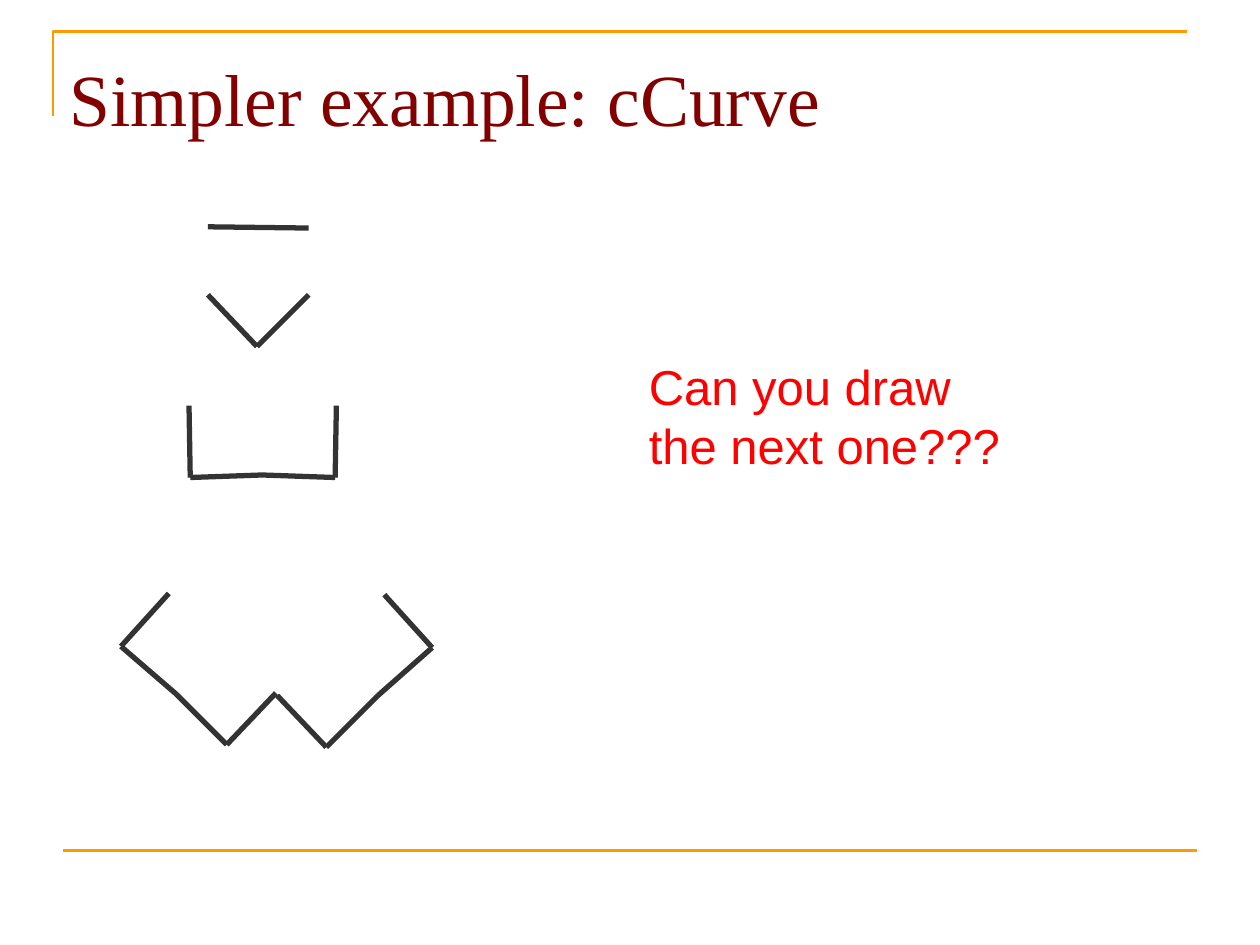
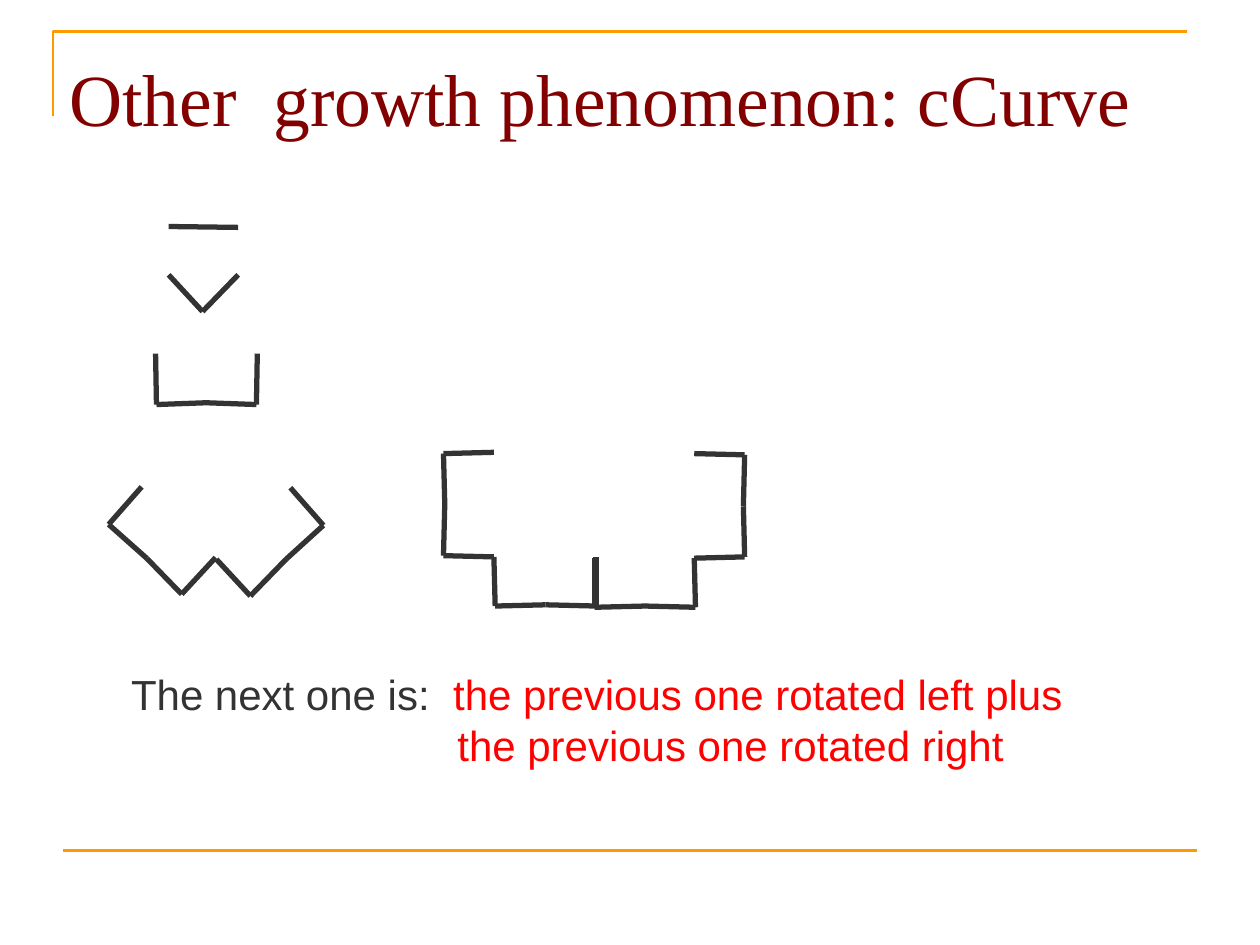
from itertools import pairwise

from lxml import etree
from pptx import Presentation
from pptx.dml.color import RGBColor
from pptx.enum.shapes import MSO_CONNECTOR
from pptx.enum.text import MSO_ANCHOR
from pptx.oxml.ns import qn
from pptx.util import Inches, Pt

STRAIGHT = MSO_CONNECTOR.STRAIGHT
TOP = MSO_ANCHOR.TOP

ORANGE = RGBColor(0xFF, 0x99, 0x00)
MAROON = RGBColor(0x82, 0x00, 0x00)
DARK = RGBColor(0x33, 0x33, 0x33)
RED = RGBColor(0xFF, 0x00, 0x00)

# First four generations of the curve, as polylines in inches
GENERATIONS = [
    [(1.65, 1.8), (2.45, 1.81)],
    [(1.65, 2.34), (2.04, 2.75), (2.45, 2.34)],
    [(1.5, 3.22), (1.51, 3.79), (2.08, 3.77), (2.66, 3.79), (2.67, 3.22)],
    [(1.34, 4.71), (0.96, 5.13), (1.4, 5.51), (1.8, 5.91), (2.19, 5.5)],
    [(3.05, 4.72), (3.43, 5.14), (3, 5.52), (2.59, 5.93), (2.2, 5.52)],
]

# Fifth generation: left and right halves
FIFTH = [
    [(3.92, 3.59), (3.52, 3.6), (3.53, 4), (3.52, 4.41), (3.92, 4.42),
     (3.93, 4.81), (4.33, 4.8), (4.73, 4.81), (4.73, 4.42)],
    [(5.51, 3.6), (5.91, 3.61), (5.9, 4.02), (5.91, 4.42), (5.51, 4.43),
     (5.52, 4.82), (5.12, 4.81), (4.72, 4.82), (4.72, 4.43)],
]


class Deck:
    """Holds the shared style and the current slide."""

    def __init__(self):
        self.prs = Presentation()
        self.prs.slide_width = Inches(10)
        self.prs.slide_height = Inches(7.5)
        self.s = None

    def slide(self, title):
        self.s = self.prs.slides.add_slide(self.prs.slide_layouts[6])
        self.corner()
        self.line((0.5, 6.75), (9.5, 6.75), ORANGE, 1.5)
        self.text(0.5, 0.3, 9, 1.03, [[(title, MAROON)]], 42,
                  "Times New Roman", top=0.12)

    def corner(self):
        builder = self.s.shapes.build_freeform(Inches(0.42), Inches(0.92))
        builder.add_line_segments(
            [(Inches(0.42), Inches(0.25)), (Inches(9.42), Inches(0.25))],
            close=False)
        sp = builder.convert_to_shape()
        sp.shadow.inherit = False
        sp.fill.background()
        sp.line.color.rgb = ORANGE
        sp.line.width = Pt(1.5)

    def line(self, start, end, color=DARK, width=3):
        c = self.s.shapes.add_connector(
            STRAIGHT, *(Inches(v) for v in (*start, *end)))
        c.line.color.rgb = color
        c.line.width = Pt(width)
        etree.SubElement(c._element.spPr, qn("a:effectLst"))

    def curve(self, polylines, scale_x=1, scale_y=1, dx=0, dy=0):
        for points in polylines:
            placed = [(x * scale_x + dx, y * scale_y + dy) for x, y in points]
            for start, end in pairwise(placed):
                self.line(start, end)

    def text(self, x, y, w, h, paragraphs, size, font="Arial", top=0.05):
        """Each paragraph is a list of (text, color) runs."""
        sp = self.s.shapes.add_textbox(Inches(x), Inches(y),
                                       Inches(w), Inches(h))
        tf = sp.text_frame
        tf.word_wrap = True
        tf.vertical_anchor = TOP
        tf.margin_left = tf.margin_right = tf.margin_bottom = Inches(0.05)
        tf.margin_top = Inches(top)
        for i, runs in enumerate(paragraphs):
            p = tf.add_paragraph() if i else tf.paragraphs[0]
            for text, color in runs:
                r = p.add_run()
                r.text = text
                r.font.size = Pt(size)
                r.font.name = font
                r.font.color.rgb = color
        return tf


def main():
    deck = Deck()

    # Slide 1: the first four generations and a question
    deck.slide("Simpler example: cCurve")
    deck.curve(GENERATIONS)
    deck.text(5.1, 2.78, 2.9, 0.98,
              [[("Can you draw", RED)], [("the next one???", RED)]], 28)

    # Slide 2: the same generations made smaller, then the fifth
    deck.slide("Other  growth phenomenon: cCurve")
    deck.curve(GENERATIONS, scale_x=0.69, scale_y=0.71, dx=0.2, dy=0.52)
    deck.curve(FIFTH)
    tf = deck.text(0.99, 5.26, 7.6, 0.87, [
        [("The next one is:  ", DARK), ("the previous one rotated left plus", RED)],
        [("the previous one rotated right", RED)],
    ], 24)
    # Align the second line under the red answer
    pPr = tf.paragraphs[1]._p.get_or_add_pPr()
    pPr.set("marL", str(Inches(2.59)))
    pPr.set("indent", "0")

    deck.prs.save("out.pptx")


if __name__ == "__main__":
    main()
